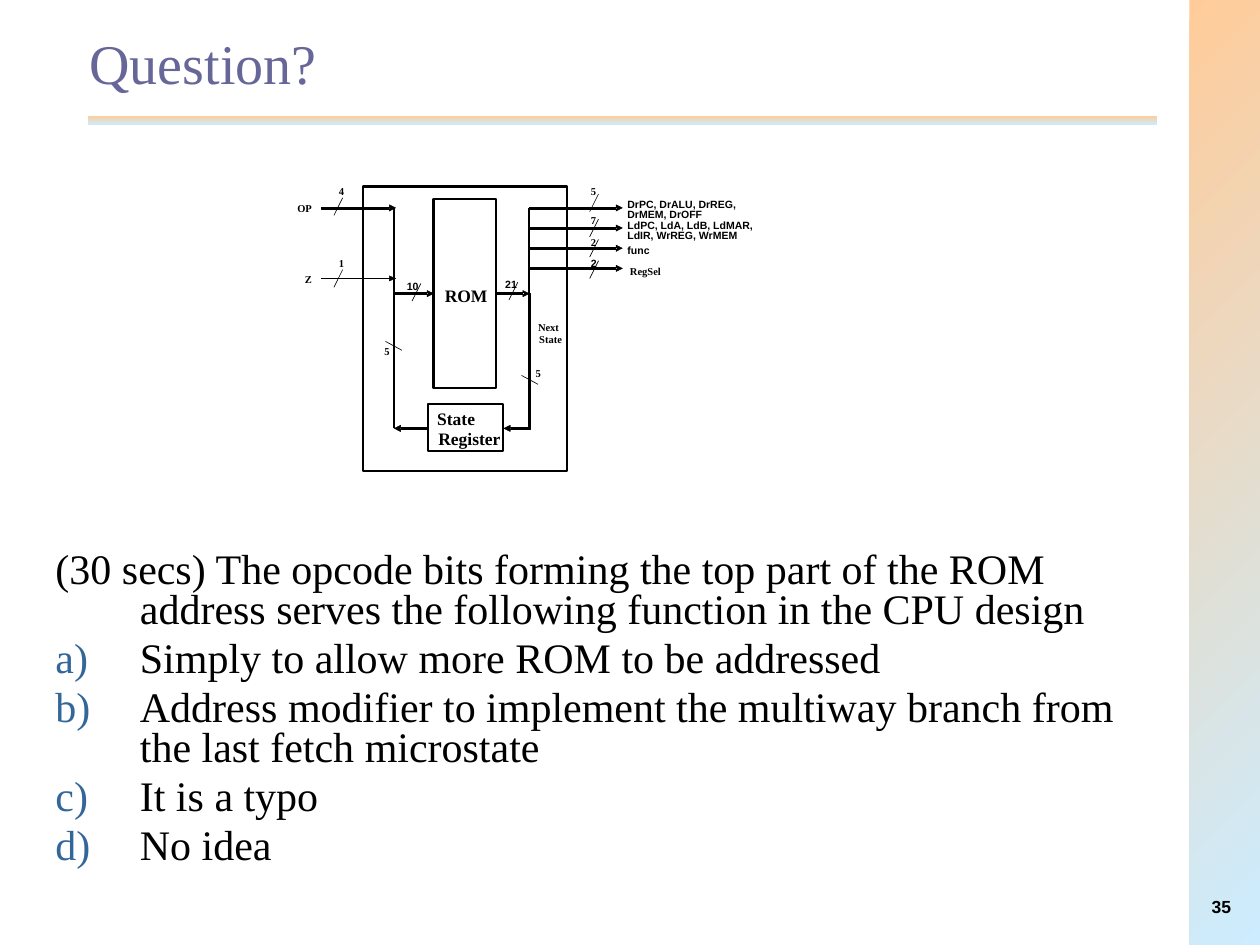
"""Build a quiz slide about a ROM-based control unit."""
from lxml.etree import SubElement
from pptx import Presentation
from pptx.dml.color import RGBColor
from pptx.enum.shapes import MSO_CONNECTOR as Connector, MSO_SHAPE as Shape
from pptx.enum.text import MSO_ANCHOR as Anchor, MSO_AUTO_SIZE as AutoSize, PP_ALIGN as Align
from pptx.oxml.ns import qn
from pptx.util import Inches, Pt

color = RGBColor.from_string
BLACK, WHITE, PEACH, SKY = "000000", "FFFFFF", "FFCC99", "CCECFF"
SERIF, SANS = "Times New Roman", "Arial"
FRAME_LEFT, FRAME_TOP, INPUT_LEFT = 2.88, 1.48, 2.55
LEFT_BUS, RIGHT_BUS, OUTPUT_TIP = 3.13, 4.2, 4.94
ROM_LEFT, ROM_RIGHT = 3.44, 3.94
FIRST_ROW, ROW_STEP = 1.65, 0.16
ROM_ROW, REGISTER_ROW = 2.33, 3.4
LABEL_SLACK = 0.05

presentation = Presentation()
presentation.slide_width, presentation.slide_height = Inches(10), Inches(7.5)
slide = presentation.slides.add_slide(presentation.slide_layouts[1])
shapes = slide.shapes


def add_label(text, left, top, width, font=SERIF, size=6):
    box = shapes.add_textbox(Inches(left), Inches(top), Inches(width + LABEL_SLACK), Pt(size * 1.2))
    frame = box.text_frame
    frame.margin_left = frame.margin_right = frame.margin_top = frame.margin_bottom = 0
    frame.word_wrap = False
    paragraph = frame.paragraphs[0]
    paragraph.text = text
    paragraph.font.name, paragraph.font.size, paragraph.font.bold = font, Pt(size), True
    paragraph.font.color.rgb = color(BLACK)
    return box


def add_arrow(start, tip, row, half=1 / 144, head=0.025, top=None):
    direction = 1 if tip > start else -1
    neck, base = tip - direction * 0.04, tip - direction * 0.05
    if top is None:
        shaft = [(start, row - half), (neck, row - half), (neck, row + half), (start, row + half)]
    else:
        shaft = [(start + half, top), (start + half, row + half), (neck, row + half),
                 (neck, row - half), (start - half, row - half), (start - half, top)]
    contours = [[(Inches(x), Inches(y)) for x, y in points]
                for points in (shaft, [(base, row - head), (tip, row), (base, row + head)])]
    builder = shapes.build_freeform(*contours[0][0], scale=1.0)
    builder.add_line_segments(contours[0][1:], close=True)
    builder.move_to(*contours[1][0])
    builder.add_line_segments(contours[1][1:], close=True)
    arrow = builder.convert_to_shape()
    arrow.shadow.inherit = False
    arrow.fill.solid()
    arrow.fill.fore_color.rgb = arrow.line.color.rgb = color(BLACK)
    arrow.line.width = Pt(0.25)


for left, top, width, height, angle in ((0.7, 0.92, 8.48, 0.07, 270), (9.44, 0, 0.56, 7.5, 315)):
    band = shapes.add_shape(Shape.RECTANGLE, Inches(left), Inches(top), Inches(width), Inches(height))
    band.shadow.inherit = False
    band.line.fill.background()
    band.fill.gradient()
    band.fill.gradient_angle = angle
    for stop, shade in zip(band.fill.gradient_stops, (PEACH, SKY)):
        stop.color.rgb = color(shade)

number = add_label("35", 9.28, 7.11, 0.53, SANS, 10)
number.text_frame.margin_right = Inches(0.09)
number.text_frame.word_wrap = True
number.text_frame.paragraphs[0].alignment = Align.RIGHT

title = shapes.title
title.left, title.top, title.width, title.height = map(Inches, (0.61, 0.17, 8.5, 0.83))
title.text_frame.text = "Question?"
title.text_frame.vertical_anchor = Anchor.MIDDLE
title.text_frame.margin_bottom = Inches(0.23)
paragraph = title.text_frame.paragraphs[0]
paragraph.alignment = Align.LEFT
paragraph.font.name, paragraph.font.size = SERIF, Pt(32)
paragraph.font.color.rgb = color("666699")

body = slide.placeholders[1]
body.left, body.top, body.width, body.height = map(Inches, (0.34, 4.33, 9, 2.75))
body.text_frame.text = "\n".join((
    "(30 secs) The opcode bits forming the top part of the ROM address serves "
    "the following function in the CPU design",
    "Simply to allow more ROM to be addressed",
    "Address modifier to implement the multiway branch from the last fetch microstate",
    "It is a typo",
    "No idea",
))
body.text_frame.auto_size = AutoSize.NONE
for index, paragraph in enumerate(body.text_frame.paragraphs):
    paragraph.line_spacing, paragraph.space_before = 0.8, Pt(4.9)
    paragraph.font.name, paragraph.font.size = SERIF, Pt(24)
    paragraph.font.color.rgb = color(BLACK)
    properties = paragraph._p.get_or_add_pPr()
    properties.set("marL", str(Inches(0.67)))
    properties.set("indent", str(Inches(-0.67)))
    if index:
        bullet_color = SubElement(properties, qn("a:buClr"))
        SubElement(bullet_color, qn("a:srgbClr"), val="336699")
        SubElement(properties, qn("a:buFont"), typeface=SERIF)
        SubElement(properties, qn("a:buAutoNum"), type="alphaLcParenR")
    else:
        SubElement(properties, qn("a:buNone"))
    properties.append(properties.find(qn("a:defRPr")))

for left, top, width, height, filled in (
    (FRAME_LEFT, FRAME_TOP, 1.62, 2.26, True),
    (ROM_LEFT, 1.58, ROM_RIGHT - ROM_LEFT, 1.5, False),
    (3.4, 3.21, 0.59, 0.37, False),
):
    block = shapes.add_shape(Shape.RECTANGLE, Inches(left), Inches(top), Inches(width), Inches(height))
    block.shadow.inherit = False
    block.line.color.rgb, block.line.width = color(BLACK), Pt(1.25)
    if filled:
        block.fill.solid()
        block.fill.fore_color.rgb = color(WHITE)
    else:
        block.fill.background()

add_arrow(INPUT_LEFT, 3.14, FIRST_ROW)
add_arrow(INPUT_LEFT, 3.14, 2.21, half=0, head=0.02)
for row in range(4):
    add_arrow(RIGHT_BUS, OUTPUT_TIP, FIRST_ROW + row * ROW_STEP)
add_arrow(LEFT_BUS, ROM_LEFT, ROM_ROW)
add_arrow(ROM_RIGHT, RIGHT_BUS, ROM_ROW)
add_arrow(RIGHT_BUS, 4, REGISTER_ROW, top=ROM_ROW)
add_arrow(3.4, LEFT_BUS, REGISTER_ROW)

rising = [(2.65, 1.71), (2.65, 2.28), (4.68, 1.68), (4.68, 1.88), (4.68, 2.04), (4.68, 2.21),
          (3.27, 2.39), (4.04, 2.38)]
falling = [(4.14, 2.98), (3.06, 2.71)]
lines = [(x, y, x + 0.07, y - 0.14, 0.37) for x, y in rising]
lines += [(x, y, x + 0.13, y + 0.07, 0.37) for x, y in falling]
lines += [(RIGHT_BUS, ROM_ROW, RIGHT_BUS, FIRST_ROW, 1.25),
          (LEFT_BUS, FIRST_ROW, LEFT_BUS, REGISTER_ROW, 1.25)]
for *ends, width in lines:
    connector = shapes.add_connector(Connector.STRAIGHT, *map(Inches, ends))
    connector.line.color.rgb, connector.line.width = color(BLACK), Pt(width)
    SubElement(connector._element.spPr, qn("a:effectLst"))

for label in (
    ("OP", 2.36, 1.6, 0.12), ("4", 2.69, 1.47, 0.04),
    ("Z", 2.42, 2.17, 0.06), ("1", 2.69, 2.04, 0.04),
    ("DrPC, DrALU, DrREG,", 4.98, 1.57, 0.89, SANS),
    ("DrMEM, DrOFF", 4.98, 1.65, 0.59, SANS),
    ("LdPC, LdA, LdB, LdMAR,", 4.98, 1.74, 1, SANS),
    ("LdIR, WrREG, WrMEM", 4.98, 1.82, 0.88, SANS),
    ("func", 4.98, 1.94, 0.18, SANS), ("RegSel", 5, 2.1, 0.25),
    ("5", 4.69, 1.47, 0.04), ("7", 4.69, 1.7, 0.04),
    ("2", 4.69, 1.87, 0.04), ("2", 4.69, 2.04, 0.05, SANS),
    ("10", 3.23, 2.22, 0.09, SANS), ("21", 4.01, 2.21, 0.09, SANS),
    ("5", 4.25, 2.91, 0.04), ("5", 3.05, 2.74, 0.04),
    ("Next", 4.27, 2.55, 0.17), ("State", 4.28, 2.64, 0.18),
    ("ROM", 3.53, 2.26, 0.34, SERIF, 10),
    ("State", 3.47, 3.24, 0.3, SERIF, 10), ("Register", 3.48, 3.4, 0.49, SERIF, 10),
):
    add_label(*label)

presentation.save("out.pptx")
